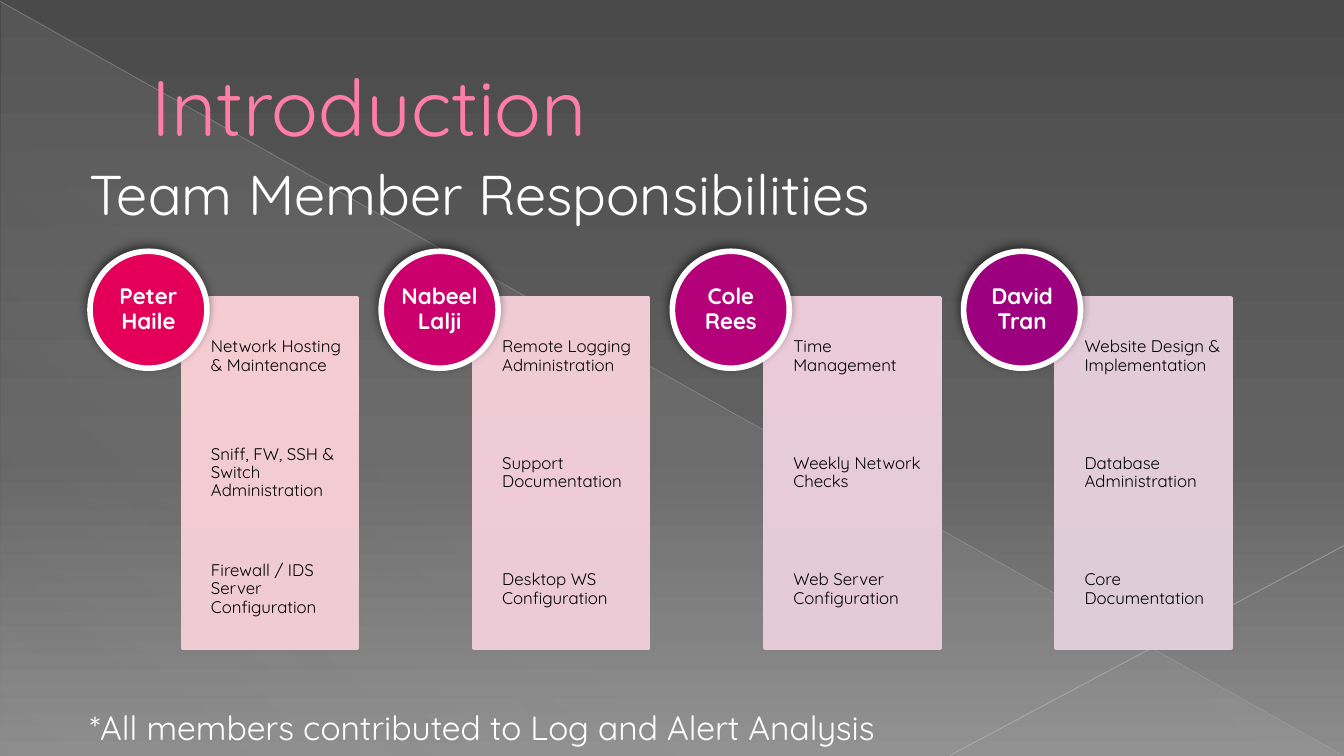
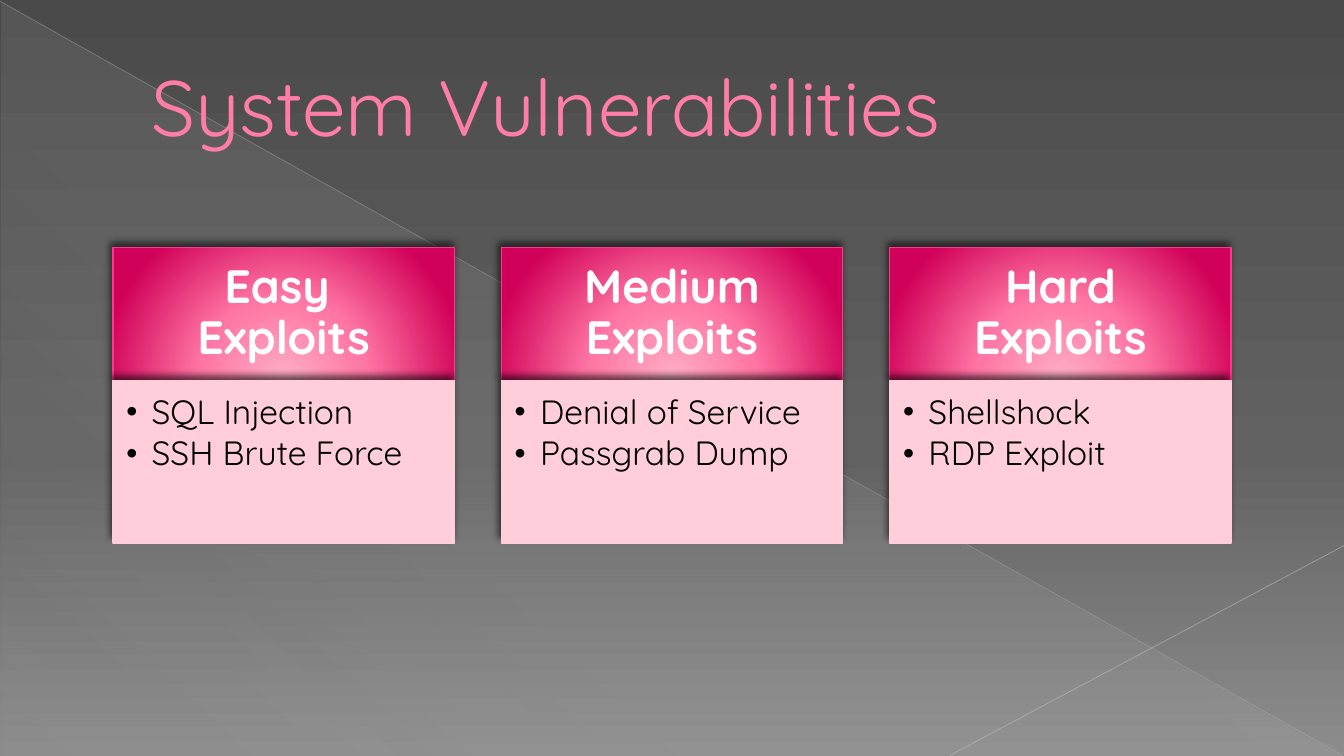
"""Build two dark slides about a security team and its system's vulnerabilities."""
from lxml.etree import SubElement
from pptx import Presentation
from pptx.dml.color import RGBColor
from pptx.enum.shapes import MSO_CONNECTOR, MSO_SHAPE
from pptx.enum.text import MSO_ANCHOR, PP_ALIGN
from pptx.oxml import parse_xml
from pptx.oxml.ns import nsdecls, qn
from pptx.util import Inches, Pt

FONT = "Quicksand"
WHITE = RGBColor(0xFF, 0xFF, 0xFF)
BLACK = RGBColor(0x00, 0x00, 0x00)
TITLE_PINK = RGBColor(0xFF, 0x7D, 0xA7)
BORDER_PINK = RGBColor(0xFF, 0x38, 0x8C)
PALE_PINK = RGBColor(0xFF, 0xCE, 0xDA)
LONG_LINE = RGBColor(0xBF, 0xBF, 0xBF)
SHORT_LINE = RGBColor(0xC6, 0xC6, 0xC6)
SHEEN = RGBColor(0xD2, 0xD2, 0xD2)

BACKGROUND_STOPS = [
    (0, RGBColor(0x4A, 0x4A, 0x4A), 100),
    (60, RGBColor(0x62, 0x62, 0x62), 100),
    (100, RGBColor(0x8C, 0x8C, 0x8C), 100),
]
SHEEN_STOPS = [(0, SHEEN, 10), (70, SHEEN, 8), (100, SHEEN, 1)]
HEADER_STOPS = [
    (0, RGBColor(0xFF, 0xAF, 0xC5), 100),
    (46, RGBColor(0xFF, 0x75, 0xA3), 100),
    (100, RGBColor(0xD1, 0x00, 0x58), 100),
]
LINEAR = '<a:lin ang="{}" scaled="0"/>'
GLOW_FROM_BELOW = (
    '<a:path path="circle"><a:fillToRect l="50000" t="155000" '
    'r="50000" b="-55000"/></a:path>'
)

MEMBERS = [
    ("Peter Haile", "E40059", [
        ("Network Hosting & Maintenance", "F5CCD1"),
        ("Sniff, FW, SSH & Switch Administration", "F3CCD3"),
        ("Firewall / IDS Server Configuration", "F1CBD4")]),
    ("Nabeel Lalji", "CC006C", [
        ("Remote Logging Administration", "F0CBD5"),
        ("Support Documentation", "EECBD6"),
        ("Desktop WS Configuration", "ECCBD7")]),
    ("Cole Rees", "B40079", [
        ("Time Management", "EACBD7"),
        ("Weekly Network Checks", "E8CBD8"),
        ("Web Server Configuration", "E5CBD8")]),
    ("David Tran", "9C007F", [
        ("Website Design & Implementation", "E3CBD8"),
        ("Database Administration", "E1CCD8"),
        ("Core Documentation", "DECCD8")]),
]
EXPLOITS = [
    ("Easy \vExploits", ["SQL Injection", "SSH Brute Force"]),
    ("Medium Exploits", ["Denial of Service", "Passgrab Dump"]),
    ("Hard Exploits", ["Shellshock", "RDP Exploit"]),
]


def write(box, lines, size=18, color=WHITE, bold=False, align=PP_ALIGN.LEFT,
          anchor=MSO_ANCHOR.TOP, insets=(0.1, 0.05, 0.1, 0.05), spacing=None,
          after=0, indent=0, bullet=False):
    """Fill a box with one formatted paragraph per line."""
    frame = box.text_frame
    frame.word_wrap = True
    frame.vertical_anchor = anchor
    (frame.margin_left, frame.margin_top,
     frame.margin_right, frame.margin_bottom) = map(Inches, insets)
    for index, line in enumerate(lines):
        para = frame.add_paragraph() if index else frame.paragraphs[0]
        para.text = line
        para.alignment = align
        para.space_after = Pt(after)
        if spacing:
            para.line_spacing = spacing
        properties = para._p.get_or_add_pPr()
        properties.set("marL", str(Inches(indent)))
        if bullet:
            properties.set("indent", str(-Inches(indent)))
            SubElement(properties, qn("a:buFont")).set("typeface", FONT)
            SubElement(properties, qn("a:buChar")).set("char", "•")
        for span in para.runs:
            span.font.name = FONT
            span.font.size = Pt(size)
            span.font.bold = bold
            span.font.color.rgb = color


def add_text(page, left, top, width, height, text, **style):
    """Add a text box."""
    box = page.shapes.add_textbox(*map(Inches, (left, top, width, height)))
    write(box, [text], **style)


def set_gradient(fill, parent, stops, direction):
    """Put a gradient in place of a fill."""
    fill.solid()
    marks = "".join(
        f'<a:gs pos="{place * 1000}"><a:srgbClr val="{color}">'
        f'<a:alpha val="{alpha * 1000}"/></a:srgbClr></a:gs>'
        for place, color, alpha in stops)
    gradient = parse_xml(
        f'<a:gradFill {nsdecls("a")} rotWithShape="1">'
        f'<a:gsLst>{marks}</a:gsLst>{direction}</a:gradFill>')
    solid = parent().find(qn("a:solidFill"))
    solid.getparent().replace(solid, gradient)


def add_panel(page, kind, left, top, width, height, color=None, stops=None,
              direction=None, line=None, weight=0, shadow=None):
    """Add a preset shape with a flat or gradient fill."""
    panel = page.shapes.add_shape(
        kind, *map(Inches, (left, top, width, height)))
    panel.shadow.inherit = False
    if stops:
        set_gradient(panel.fill, lambda: panel._element.spPr, stops, direction)
    else:
        panel.fill.solid()
        panel.fill.fore_color.rgb = color
    if line is None:
        panel.line.fill.background()
    else:
        panel.line.color.rgb = line
        panel.line.width = Pt(weight)
    if shadow:
        alpha, blur, distance = shadow
        panel._element.spPr.find(qn("a:effectLst")).append(parse_xml(
            f'<a:outerShdw {nsdecls("a")} blurRad="{Pt(blur)}" '
            f'dist="{Pt(distance)}" dir="{245 * 60000}" rotWithShape="0">'
            f'<a:srgbClr val="000000"><a:alpha val="{alpha * 1000}"/>'
            '</a:srgbClr></a:outerShdw>'))
    return panel


def add_line(page, start, end, color, weight, alpha):
    """Add a thin, partly transparent line."""
    line = page.shapes.add_connector(
        MSO_CONNECTOR.STRAIGHT, *map(Inches, start + end))
    line.line.color.rgb = color
    line.line.width = Pt(weight)
    properties = line._element.spPr
    tone = next(properties.iter(qn("a:srgbClr")))
    SubElement(tone, qn("a:alpha")).set("val", str(alpha * 1000))
    SubElement(properties, qn("a:effectLst"))


def add_page(deck, title):
    """Add a slide with the shared backdrop and title."""
    page = deck.slides.add_slide(deck.slide_layouts[6])
    set_gradient(page.background.fill,
                 lambda: next(page._element.iter(qn("p:bgPr"))),
                 BACKGROUND_STOPS, LINEAR.format(90 * 60000))
    add_panel(page, MSO_SHAPE.RIGHT_TRIANGLE, 0.01, 0.01, 9.98, 5.61,
              stops=SHEEN_STOPS, direction=LINEAR.format(133 * 60000))
    add_line(page, (0, 0.01), (9.99, 5.62), LONG_LINE, 0.39, 35)
    add_line(page, (10, 4.06), (7.07, 5.62), SHORT_LINE, 0.47, 45)
    add_text(page, 0.5, 0.21, 9, 1.15, title, size=42, color=TITLE_PINK,
             anchor=MSO_ANCHOR.MIDDLE, indent=0.53)
    return page


def add_member(page, left, name, color, duties):
    """Add a column of duties with the member's name in a circle."""
    row_height = 2.6 / len(duties)
    for row, (duty, tint) in enumerate(duties):
        tint = RGBColor.from_string(tint)
        cell = add_panel(page, MSO_SHAPE.RECTANGLE, left + 0.69,
                         2.22 + row * row_height, 1.3, row_height,
                         color=tint, line=tint, weight=2)
        write(cell, [duty], size=9, color=BLACK, anchor=MSO_ANCHOR.MIDDLE,
              insets=(0.21, 0.07, 0.07, 0.07), spacing=0.9)
    badge = add_panel(page, MSO_SHAPE.OVAL, left, 1.87, 0.87, 0.87,
                      color=RGBColor.from_string(color), line=WHITE, weight=3,
                      shadow=(50, 5, 2))
    write(badge, [name], size=12, bold=True, align=PP_ALIGN.CENTER,
          anchor=MSO_ANCHOR.MIDDLE, insets=(0, 0, 0, 0), spacing=0.9)


def add_exploit_card(page, left, heading, exploits):
    """Add a glowing heading above a bulleted list."""
    header = add_panel(page, MSO_SHAPE.RECTANGLE, left, 1.84, 2.54, 0.99,
                       stops=HEADER_STOPS, direction=GLOW_FROM_BELOW,
                       line=BORDER_PINK, weight=0.75, shadow=(60, 4, 3))
    write(header, [heading], size=25, bold=True, align=PP_ALIGN.CENTER,
          anchor=MSO_ANCHOR.MIDDLE, insets=(0.19, 0.11, 0.19, 0.11),
          spacing=0.9)
    body = add_panel(page, MSO_SHAPE.RECTANGLE, left, 2.83, 2.54, 1.21,
                     color=PALE_PINK, line=PALE_PINK, weight=0.75,
                     shadow=(60, 4, 3))
    write(body, exploits, color=BLACK, insets=(0.1, 0.11, 0.14, 0.16),
          spacing=0.9, after=2.7, indent=0.19, bullet=True)


def build_introduction(deck):
    """Build the slide on who does what."""
    page = add_page(deck, "Introduction")
    add_text(page, 0.5, 1.14, 8.92, 0.6, "Team Member Responsibilities",
             size=30, indent=0.07)
    add_text(page, 0.5, 5.21, 8.92, 0.4,
             "*All members contributed to Log and Alert Analysis", indent=0.07)
    for column, member in enumerate(MEMBERS):
        add_member(page, 0.67 + column * 6.5 / 3, *member)


def build_vulnerabilities(deck):
    """Build the slide on exploits by difficulty."""
    page = add_page(deck, "System Vulnerabilities")
    for column, card in enumerate(EXPLOITS):
        add_exploit_card(page, 0.84 + column * 5.78 / 2, *card)


def main():
    """Build and save the deck."""
    deck = Presentation()
    deck.slide_width = Inches(10)
    deck.slide_height = Inches(10 * 9 / 16)
    build_introduction(deck)
    build_vulnerabilities(deck)
    deck.save("out.pptx")


main()
